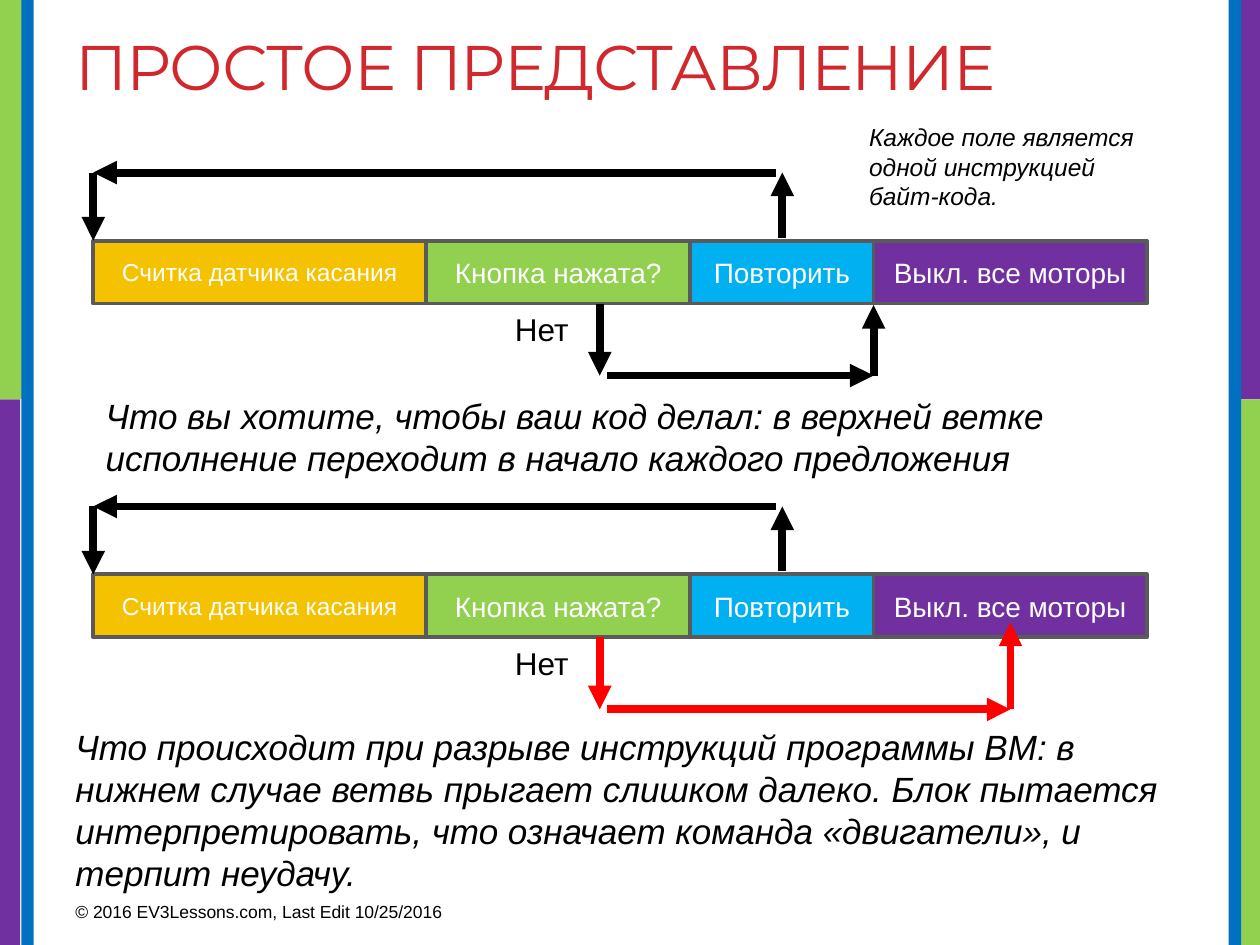
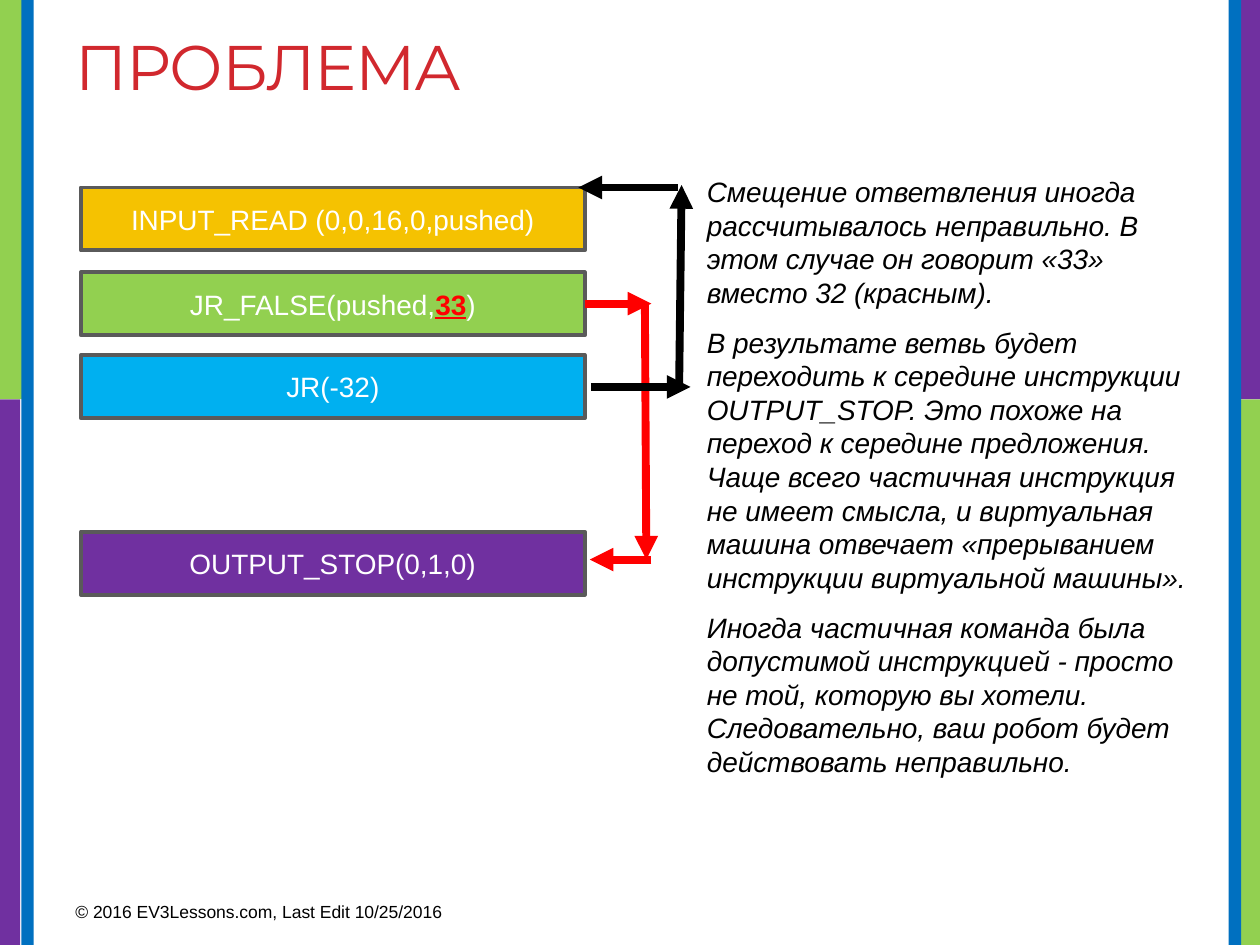
"""Build two slides on how a wrong branch offset breaks a bytecode program."""
from dataclasses import dataclass

from lxml.etree import SubElement
from pptx import Presentation
from pptx.dml.color import RGBColor
from pptx.enum.shapes import MSO_CONNECTOR, MSO_SHAPE
from pptx.enum.text import MSO_ANCHOR, PP_ALIGN
from pptx.oxml.ns import qn
from pptx.util import Cm, Pt


@dataclass(frozen=True)
class Theme:
    black: str = "000000"
    white: str = "FFFFFF"
    red: str = "FF0000"
    title: str = "D1282E"
    gold: str = "F5C201"
    green: str = "92D050"
    sky: str = "00B0F0"
    blue: str = "0070C0"
    purple: str = "7030A0"
    edge: str = "5A5A5A"
    head: str = "Montserrat"
    text: str = "Arial"
    huge: int = 36
    large: int = 20
    label: int = 18
    body: int = 16
    note: int = 14
    foot: int = 10


look = Theme()


def put(slide, at, rows=(), size=look.body, color=look.black, fill=None,
        edge=None, font=look.text, italic=False):
    spot = [Cm(n) for n in at]
    if fill:
        shape = slide.shapes.add_shape(MSO_SHAPE.RECTANGLE, *spot)
        shape.shadow.inherit = False
        shape.fill.solid()
        shape.fill.fore_color.rgb = RGBColor.from_string(fill)
        if edge:
            shape.line.color.rgb = RGBColor.from_string(edge)
            shape.line.width = Pt(2.25)
        else:
            shape.line.fill.background()
    else:
        shape = slide.shapes.add_textbox(*spot)
    frame = shape.text_frame
    frame.word_wrap = True
    frame.vertical_anchor = MSO_ANCHOR.MIDDLE if fill else MSO_ANCHOR.TOP
    for i, row in enumerate(rows):
        para = frame.add_paragraph() if i else frame.paragraphs[0]
        para.alignment = PP_ALIGN.CENTER if fill else PP_ALIGN.LEFT
        if font == look.text:
            para.line_spacing = Pt(size * 1.2)
        if i:
            para.space_before = Pt(size * 0.2)
        if i < len(rows) - 1:
            para.space_after = Pt(6)
        for part, hot in row:
            run = para.add_run()
            run.text = part
            run.font.name = font
            run.font.size = Pt(size)
            run.font.italic = italic
            run.font.bold = run.font.underline = hot
            run.font.color.rgb = RGBColor.from_string(look.red if hot else color)
            if font == look.head:
                run.font._element.set("spc", "-60")


def arrow(slide, color, *ends):
    line = slide.shapes.add_connector(MSO_CONNECTOR.STRAIGHT, *[Cm(n) for n in ends])
    line.line.color.rgb = RGBColor.from_string(color)
    line.line.width = Pt(4.5)
    SubElement(line.line._get_or_add_ln(), qn("a:tailEnd"), type="triangle")
    SubElement(line._element.spPr, qn("a:effectLst"))


deck = Presentation()
deck.slide_width, deck.slide_height = Cm(25.4), Cm(19.05)

bands = [
    (24.99, 8.05, 0.41, 11, look.green),
    (24.89, 0, 0.51, 8.05, look.purple),
    (24.77, 0, 0.25, 19.05, look.blue),
    (0, 8.05, 0.41, 11, look.purple),
    (0, 0, 0.51, 8.05, look.green),
    (0.43, 0, 0.25, 19.05, look.blue),
]
pages = []
for title in ("ПРОСТОЕ ПРЕДСТАВЛЕНИЕ", "ПРОБЛЕМА"):
    page = deck.slides.add_slide(deck.slide_layouts[6])
    for *at, fill in bands:
        put(page, at, fill=fill)
    put(page, (1.27, 0.43, 22.91, 3.81), [[(title, False)]], look.huge,
        look.title, font=look.head)
    put(page, (1.27, 18.03, 9.53, 0.79),
        [[("© 2016 EV3Lessons.com, Last Edit 10/25/2016", False)]], look.foot)
    pages.append(page)
plan, fault = pages

steps = [
    ("Считка датчика касания", 6.71, look.gold, look.note),
    ("Кнопка нажата?", 5.33, look.green, look.body),
    ("Повторить", 3.69, look.sky, look.body),
    ("Выкл. все моторы", 5.51, look.purple, look.body),
]
left, tall = 1.88, 1.27
for top, jump, goal, tip in ((4.85, look.black, 17.61, 1.3),
                             (11.58, look.red, 20.37, 0.97)):
    x = left
    for name, wide, fill, size in steps:
        put(plan, (x, top, wide, tall), [[(name, False)]], size, look.white,
            fill, look.edge)
        x += wide
    high, low = top - 1.37, top + 2.72
    arrow(plan, look.black, 15.65, high, left, high)
    arrow(plan, look.black, left, high, left, top)
    arrow(plan, look.black, 15.77, top - 0.06, 15.77, high)
    arrow(plan, jump, goal, low, goal, top + tip)
    arrow(plan, jump, 12.24, low, goal, low)
    arrow(plan, jump, 12.09, top + tall, 12.09, low)
    put(plan, (10.13, top + tall, 2.16, 1.02), [[("Нет", False)]], look.label)

notes = [
    ((17.27, 2.34, 5.89, 2.06), look.note,
     "Каждое поле является одной инструкцией байт-кода."),
    ((1.88, 7.82, 22.91, 4.17), look.large,
     "Что вы хотите, чтобы ваш код делал: в верхней ветке исполнение "
     "переходит в начало каждого предложения"),
    ((1.27, 14.5, 22.91, 3.48), look.large,
     "Что происходит при разрыве инструкций программы ВМ: в нижнем случае "
     "ветвь прыгает слишком далеко. Блок пытается интерпретировать, что "
     "означает команда «двигатели», и терпит неудачу."),
]
for at, size, words in notes:
    put(plan, at, [[(words, False)]], size, italic=True)

codes = [
    (3.78, look.gold, [("INPUT_READ (0,0,16,0,pushed)", False)]),
    (5.49, look.green, [("JR_FALSE(pushed,", False), ("33", True), (")", False)]),
    (7.16, look.sky, [("JR(-32)", False)]),
    (10.72, look.purple, [("OUTPUT_STOP(0,1,0)", False)]),
]
for top, fill, row in codes:
    put(fault, (1.63, top, 10.16, tall), [row], look.body, look.white, fill, look.edge)

story = [
    "Смещение ответвления иногда рассчитывалось неправильно. В этом случае "
    "он говорит «33» вместо 32 (красным).",
    "В результате ветвь будет переходить к середине инструкции OUTPUT_STOP. "
    "Это похоже на переход к середине предложения. Чаще всего частичная "
    "инструкция не имеет смысла, и виртуальная машина отвечает «прерыванием "
    "инструкции виртуальной машины».",
    "Иногда частичная команда была допустимой инструкцией - просто не той, "
    "которую вы хотели. Следовательно, ваш робот будет действовать неправильно.",
]
put(fault, (14, 3.4, 10.59, 13.56), [[(words, False)] for words in story],
    look.body, italic=True)

for color, *ends in (
    (look.red, 11.79, 6.12, 13.13, 6.12),
    (look.red, 13, 6.12, 13.03, 11.28),
    (look.red, 13.13, 11.28, 11.89, 11.28),
    (look.black, 11.91, 7.8, 13.92, 7.8),
    (look.black, 13.69, 7.82, 13.74, 3.73),
    (look.black, 13.67, 3.78, 11.66, 3.78),
):
    arrow(fault, color, *ends)

deck.save("out.pptx")
